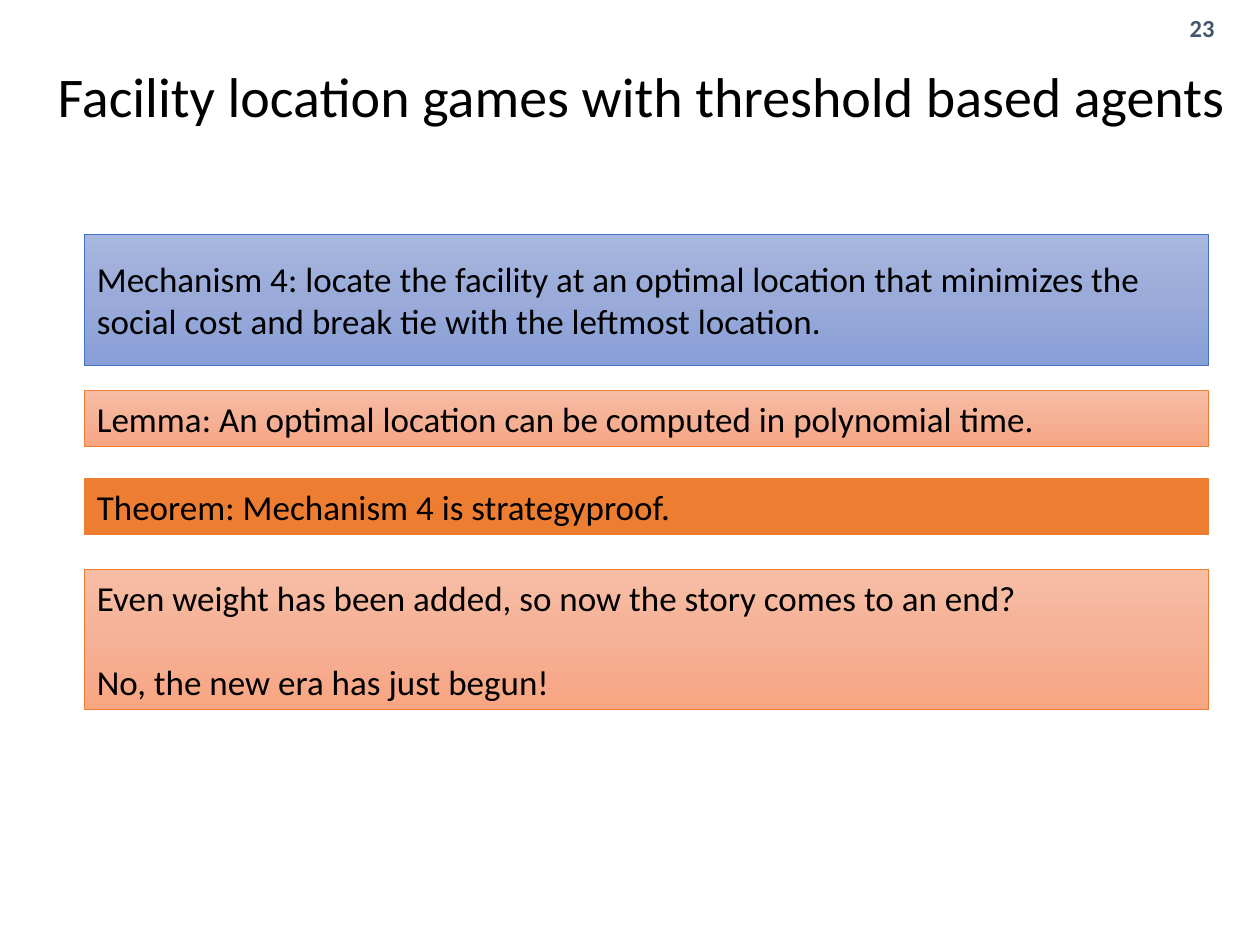
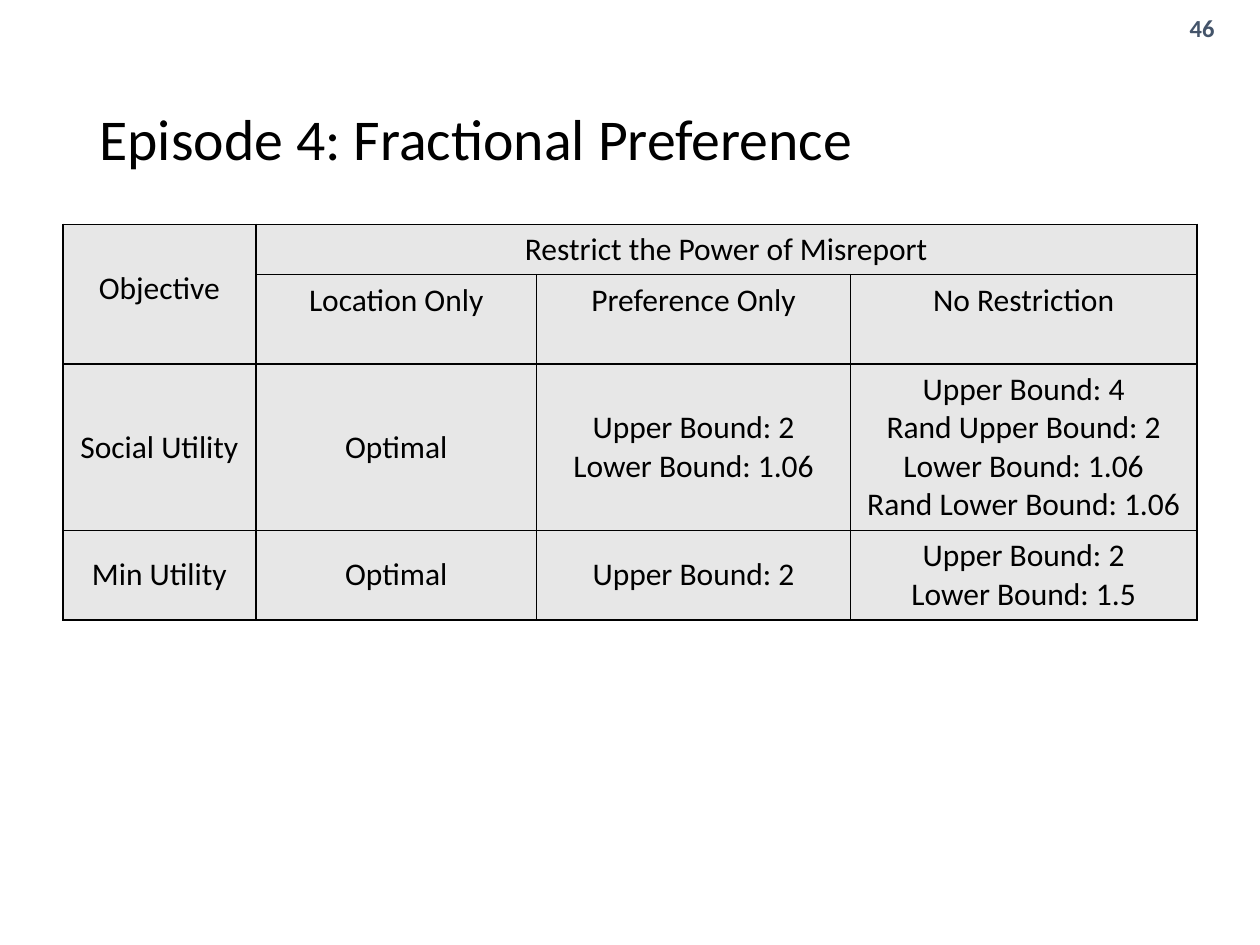
"""Build two slides on facility location games."""
import copy

import lxml.etree
import pptx
import pptx.dml.color
import pptx.enum.shapes
import pptx.enum.text
import pptx.oxml.ns
import pptx.util

FONT = "Calibri"
BLACK, NUMBER, CELL = "000000", "44546A", "E7E7E7"
BLUE, ORANGE = "4472C4", "ED7D31"
BLUE_FADE = ("A8B7DF", "9AABD9", "889ED7")
ORANGE_FADE = ("F7BDA5", "F5B196", "F8A582")
WIDTH, HEIGHT = 10, 7.5
LEFT, BOX_WIDTH = 0.67, 8.92

STATEMENTS = [
    (1.86, 1.04, BLUE_FADE, BLUE,
     ["Mechanism 4: locate the facility at an optimal location that "
      "minimizes the social cost and break tie with the leftmost location."]),
    (3.1, 0.44, ORANGE_FADE, ORANGE,
     ["Lemma: An optimal location can be computed in polynomial time."]),
    (3.8, 0.44, (ORANGE,), ORANGE, ["Theorem: Mechanism 4 is strategyproof."]),
    (4.52, 1.11, ORANGE_FADE, ORANGE,
     ["Even weight has been added, so now the story comes to an end?",
      "No, the new era has just begun!"]),
]

COLUMNS = (1.53, 2.23, 2.49, 2.75)
ROWS = (0.4, 0.71, 1.32, 0.71)
HEADER_ROWS = 2
BOUNDS = [
    ["Objective", "Restrict the Power of Misreport", "", ""],
    ["", "Location Only", "Preference Only", "No Restriction"],
    ["Social Utility", "Optimal", "Upper Bound: 2\nLower Bound: 1.06",
     "Upper Bound: 4\nRand Upper Bound: 2\nLower Bound: 1.06\nRand Lower Bound: 1.06"],
    ["Min Utility", "Optimal", "Upper Bound: 2", "Upper Bound: 2\nLower Bound: 1.5"],
]

ALIGN = pptx.enum.text.PP_ALIGN
ANCHOR = pptx.enum.text.MSO_ANCHOR
inches, points = pptx.util.Inches, pptx.util.Pt


def rgb(value):
    return pptx.dml.color.RGBColor.from_string(value)


def write(tf, text, size, color=BLACK, align=ALIGN.LEFT, bold=False):
    tf.text = text
    for p in tf.paragraphs:
        p.alignment = align
        for r in p.runs:
            r.font.name, r.font.size, r.font.bold = FONT, points(size), bold
            r.font.color.rgb = rgb(color)


def add_text(slide, box, text, size, **style):
    tf = slide.shapes.add_textbox(*map(inches, box)).text_frame
    tf.word_wrap = True
    tf.vertical_anchor = ANCHOR.MIDDLE
    write(tf, text, size, **style)
    return tf


def add_slide(prs, number, title, title_box, title_size):
    slide = prs.slides.add_slide(prs.slide_layouts[6])
    add_text(slide, (9.08, 0.01, 0.92, 0.42), number, 14,
             color=NUMBER, align=ALIGN.CENTER, bold=True)
    tf = add_text(slide, title_box, title, title_size)
    tf.paragraphs[0].line_spacing = 0.9
    return slide


def paint(sp, colors):
    if len(colors) == 1:
        sp.fill.solid()
        sp.fill.fore_color.rgb = rgb(colors[0])
        return
    sp.fill.gradient()
    sp.fill.gradient_angle = 270
    stops = sp._element.spPr.find(".//" + pptx.oxml.ns.qn("a:gsLst"))
    stops.insert(1, copy.deepcopy(stops[0]))
    for i, (stop, color) in enumerate(zip(sp.fill.gradient_stops, colors)):
        stop.position = i / (len(colors) - 1)
        stop.color.rgb = rgb(color)


def add_statement(slide, top, height, colors, edge, lines):
    sp = slide.shapes.add_shape(pptx.enum.shapes.MSO_SHAPE.RECTANGLE,
                                *map(inches, (LEFT, top, BOX_WIDTH, height)))
    sp.shadow.inherit = False
    paint(sp, colors)
    sp.line.color.rgb = rgb(edge)
    sp.line.width = points(0.5)
    tf = sp.text_frame
    tf.word_wrap = True
    tf.vertical_anchor = ANCHOR.MIDDLE
    write(tf, "\n".join(lines), 20)
    for p in tf.paragraphs[1:]:
        p.space_before = points(24)


def add_borders(cell):
    tc_pr = cell._tc.get_or_add_tcPr()
    qn = pptx.oxml.ns.qn
    for side in ("lnL", "lnR", "lnT", "lnB"):
        ln = lxml.etree.SubElement(tc_pr, qn("a:" + side), w=str(points(1)))
        fill = lxml.etree.SubElement(ln, qn("a:solidFill"))
        lxml.etree.SubElement(fill, qn("a:srgbClr"), val=BLACK)


def add_bounds_table(slide):
    box = (0.5, 1.78, sum(COLUMNS), sum(ROWS))
    table = slide.shapes.add_table(len(ROWS), len(COLUMNS), *map(inches, box)).table
    table.first_row = table.horz_banding = False
    for column, width in zip(table.columns, COLUMNS):
        column.width = inches(width)
    for row, height in zip(table.rows, ROWS):
        row.height = inches(height)
    table.cell(0, 0).merge(table.cell(1, 0))
    table.cell(0, 1).merge(table.cell(0, 3))
    for i, texts in enumerate(BOUNDS):
        for j, text in enumerate(texts):
            cell = table.cell(i, j)
            add_borders(cell)
            cell.fill.solid()
            cell.fill.fore_color.rgb = rgb(CELL)
            cell.vertical_anchor = ANCHOR.TOP if i < HEADER_ROWS else ANCHOR.MIDDLE
            if text:
                write(cell.text_frame, text, 18, align=ALIGN.CENTER)
    table.cell(0, 0).text_frame.paragraphs[0].line_spacing = 2.0


def main():
    prs = pptx.Presentation()
    prs.slide_width, prs.slide_height = inches(WIDTH), inches(HEIGHT)
    slide = add_slide(prs, "23", "Facility location games with threshold based agents",
                      (0.36, 0.25, 9.51, 1.08), 32)
    for statement in STATEMENTS:
        add_statement(slide, *statement)
    slide = add_slide(prs, "46", "Episode 4: Fractional Preference",
                      (0.69, 0.4, 8.62, 1.45), 33)
    add_bounds_table(slide)
    prs.save("out.pptx")


if __name__ == "__main__":
    main()
